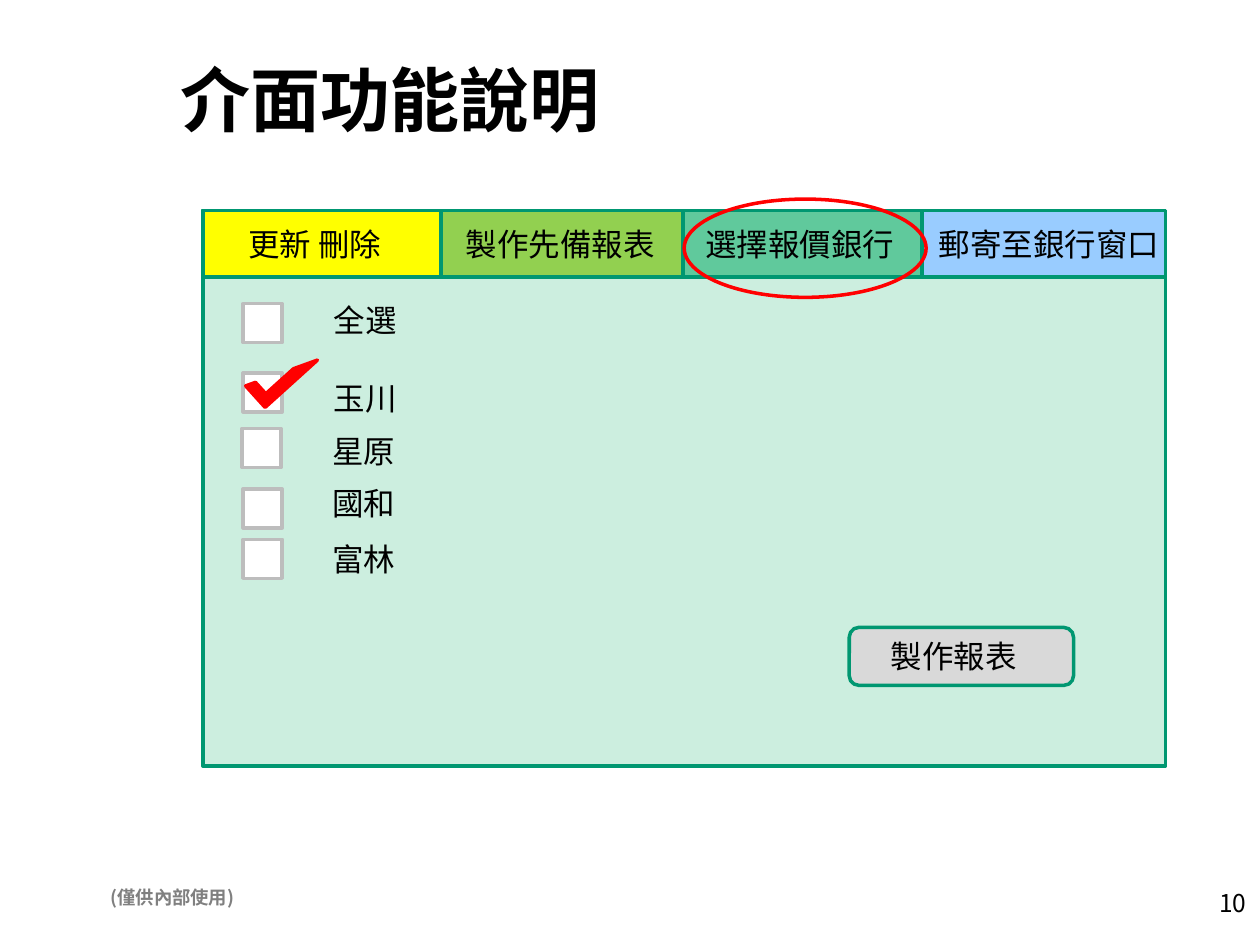
from dataclasses import dataclass
from typing import Any

import pptx
import pptx.dml.color
import pptx.enum.shapes
import pptx.enum.text
import pptx.util

SHAPE = pptx.enum.shapes.MSO_SHAPE
ALIGN = pptx.enum.text.PP_ALIGN
ANCHOR = pptx.enum.text.MSO_ANCHOR
EMU_PER_PX = 9144


@dataclass(frozen=True)
class Theme:
    ink: str = "000000"
    muted: str = "808080"
    frame: str = "009771"
    panel: str = "CCEEDF"
    box: str = "FFFFFF"
    box_edge: str = "BDBDBD"
    button: str = "D9D9D9"
    accent: str = "FF0000"
    heading_font: str = "Noto Sans CJK SC"
    body_font: str = "Arial"
    title_size: float = 40
    body_size: float = 18
    page_size: float = 14
    footer_size: float = 10.5
    stroke: float = 2


@dataclass(frozen=True)
class Box:
    left: int
    top: int
    width: int
    height: int

    def emu(self) -> list[int]:
        return [px * EMU_PER_PX for px in (self.left, self.top, self.width, self.height)]


@dataclass(frozen=True)
class Tab:
    caption: str
    width: int
    fill: str
    text_left: int
    text_width: int


@dataclass(frozen=True)
class Option:
    caption: str
    box_left: int
    box_top: int
    text_left: int
    text_top: int


THEME = Theme()
PANEL = Box(161, 167, 764, 441)
TAB_HEIGHT = 53
TEXT_HEIGHT = 40
CHECKBOX_SIZE = 31
OPTION_WIDTH = 181

TABS = [
    Tab("更新 刪除", 189, "FFFF00", 187, 189),
    Tab("製作先備報表", 192, "92D050", 360, 183),
    Tab("選擇報價銀行", 190, "60C99C", 550, 172),
    Tab("郵寄至銀行窗口", 193, "99CCFF", 735, 205),
]
OPTIONS = [
    Option("全選", 193, 241, 255, 234),
    Option("玉川", 193, 296, 255, 296),
    Option("星原", 192, 340, 254, 338),
    Option("國和", 193, 388, 254, 379),
    Option("富林", 193, 428, 254, 424),
]


def rgb(value: str) -> pptx.dml.color.RGBColor:
    return pptx.dml.color.RGBColor.from_string(value)


def write(frame: Any, text: str, size: float = THEME.body_size, font: str = THEME.body_font,
          color: str = THEME.ink, bold: bool = False, align: Any = ALIGN.LEFT) -> None:
    frame.text = text
    frame.word_wrap = True
    paragraph = frame.paragraphs[0]
    paragraph.alignment = align
    paragraph.font.size = pptx.util.Pt(size)
    paragraph.font.name = font
    paragraph.font.bold = bold
    paragraph.font.color.rgb = rgb(color)


def add_label(shapes: Any, box: Box, text: str, **style: Any) -> None:
    write(shapes.add_textbox(*box.emu()).text_frame, text, **style)


def add_figure(shapes: Any, kind: Any, box: Box, fill: str | None, line: str,
               rotation: float = 0) -> None:
    figure = shapes.add_shape(kind, *box.emu())
    figure.shadow.inherit = False
    figure.rotation = rotation
    if fill:
        figure.fill.solid()
        figure.fill.fore_color.rgb = rgb(fill)
    else:
        figure.fill.background()
    figure.line.color.rgb = rgb(line)
    figure.line.width = pptx.util.Pt(THEME.stroke)


def add_title(slide: Any) -> None:
    title = slide.shapes.title
    title.left, title.top, title.width, title.height = Box(-138, 45, 895, 67).emu()
    title.text_frame.vertical_anchor = ANCHOR.MIDDLE
    write(title.text_frame, "介面功能說明", size=THEME.title_size, font=THEME.heading_font,
          bold=True, align=ALIGN.CENTER)


def add_window(shapes: Any) -> None:
    window = shapes.add_group_shape().shapes
    add_figure(window, SHAPE.RECTANGLE, PANEL, THEME.panel, THEME.frame)
    left = PANEL.left
    for tab in TABS:
        area = Box(left, PANEL.top, tab.width, TAB_HEIGHT)
        add_figure(window, SHAPE.RECTANGLE, area, tab.fill, THEME.frame)
        left += tab.width
    for tab in TABS:
        add_label(window, Box(tab.text_left, 174, tab.text_width, TEXT_HEIGHT), tab.caption)


def add_options(shapes: Any) -> None:
    for option in OPTIONS:
        checkbox = Box(option.box_left, option.box_top, CHECKBOX_SIZE, CHECKBOX_SIZE)
        add_figure(shapes, SHAPE.RECTANGLE, checkbox, THEME.box, THEME.box_edge)
        caption = Box(option.text_left, option.text_top, OPTION_WIDTH, TEXT_HEIGHT)
        add_label(shapes, caption, option.caption)


def main() -> None:
    """Build the slide that explains the functions of the interface."""
    deck = pptx.Presentation()
    deck.slide_width, deck.slide_height = 1000 * EMU_PER_PX, 750 * EMU_PER_PX
    slide = deck.slides.add_slide(deck.slide_layouts[5])
    shapes = slide.shapes

    add_label(shapes, Box(78, 698, 195, 28), "(僅供內部使用)", size=THEME.footer_size,
              font=THEME.heading_font, color=THEME.muted, bold=True)
    add_title(slide)
    add_label(shapes, Box(957, 700, 42, 33), "10", size=THEME.page_size,
              font=THEME.heading_font, align=ALIGN.RIGHT)
    add_window(shapes)
    add_options(shapes)
    add_figure(shapes, SHAPE.ROUNDED_RECTANGLE, Box(674, 498, 178, 46),
               THEME.button, THEME.frame)
    add_label(shapes, Box(697, 501, 163, TEXT_HEIGHT), "製作報表")
    add_figure(shapes, SHAPE.HALF_FRAME, Box(212, 268, 23, 56), THEME.accent, THEME.accent,
               rotation=227.9)
    add_figure(shapes, SHAPE.OVAL, Box(543, 158, 192, 78), None, THEME.accent)
    deck.save("out.pptx")


if __name__ == "__main__":
    main()
